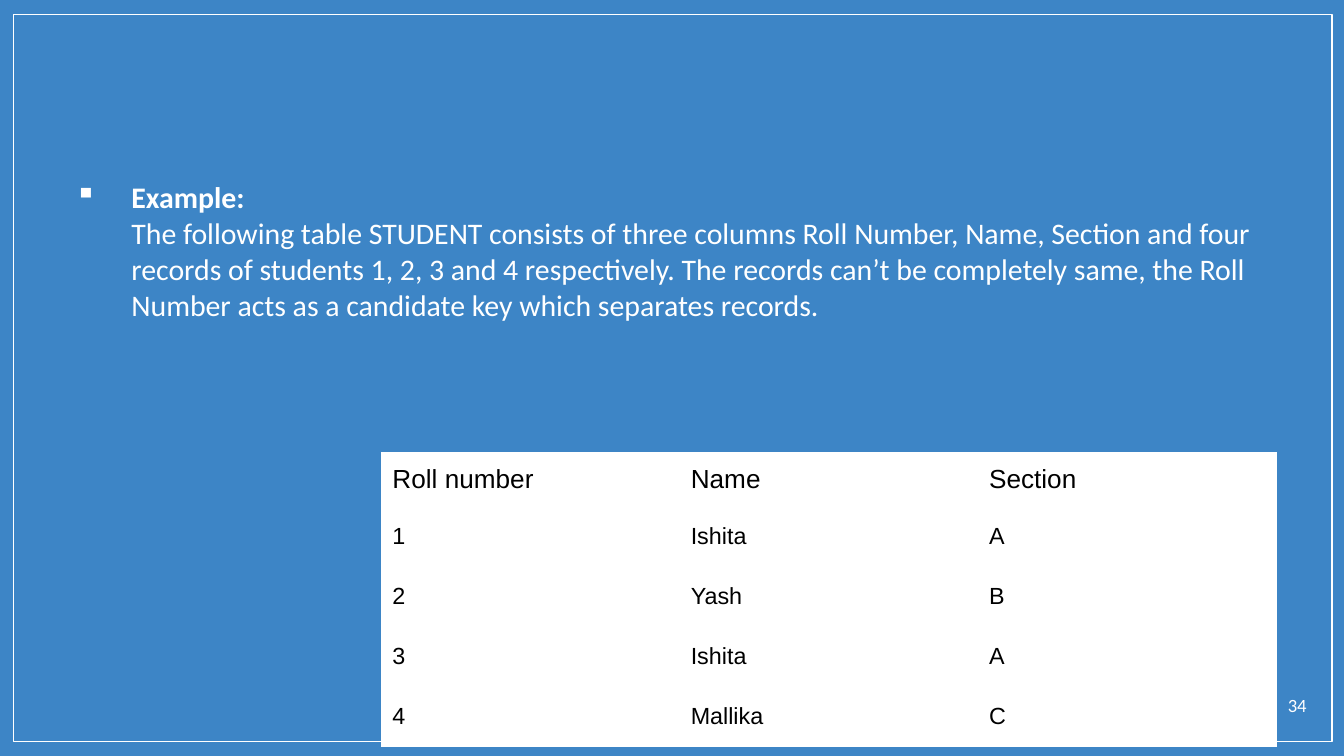
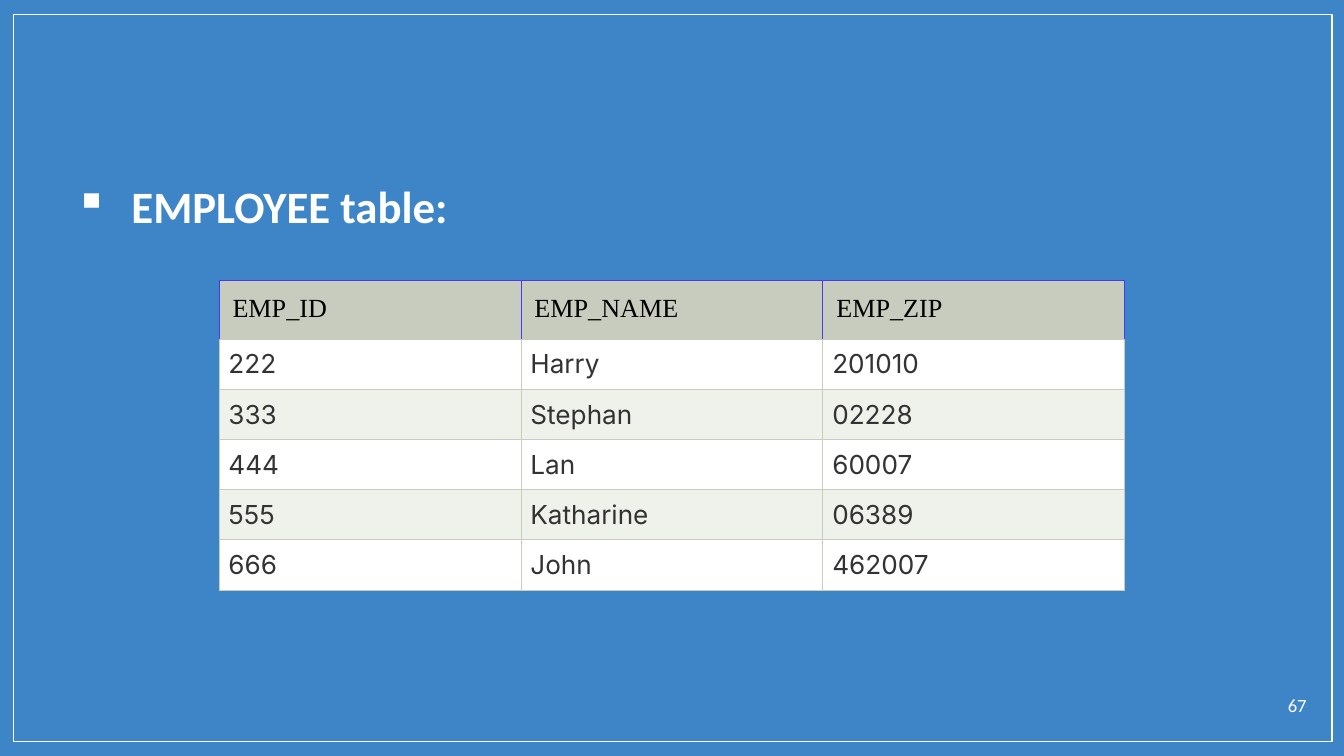
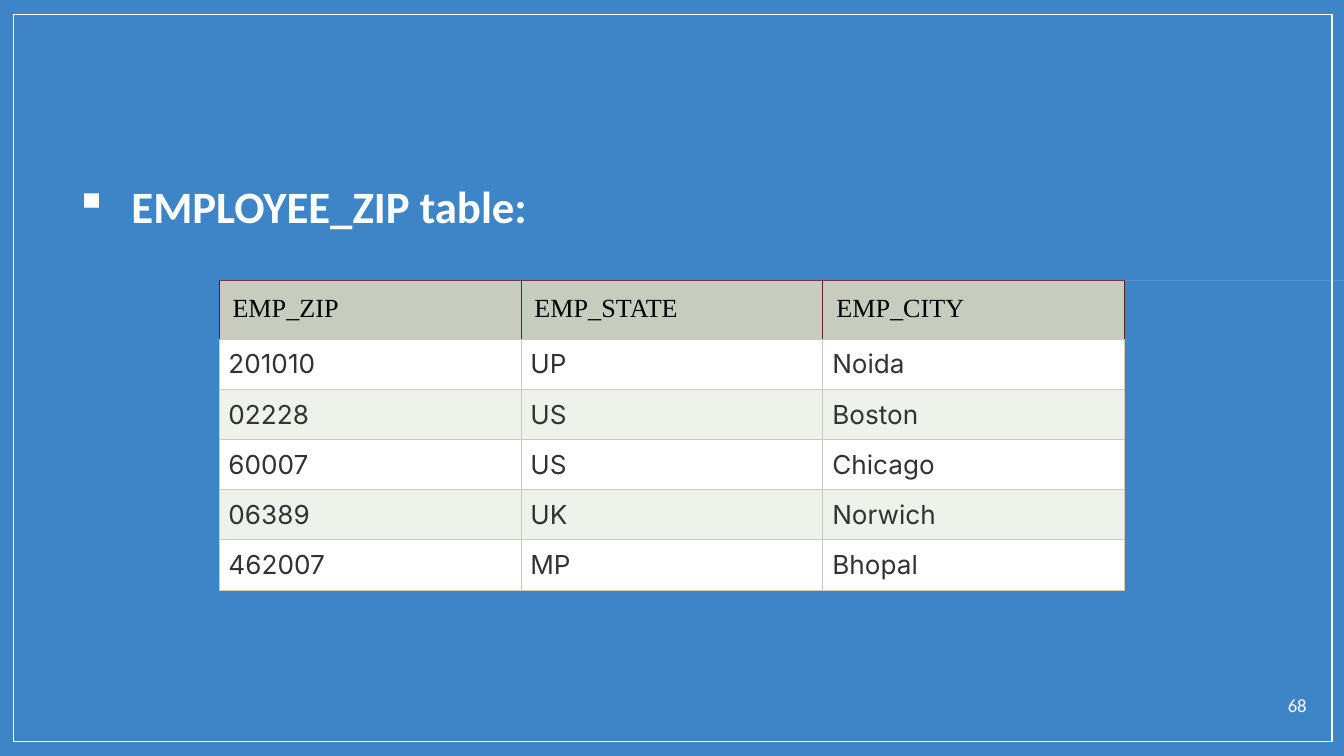
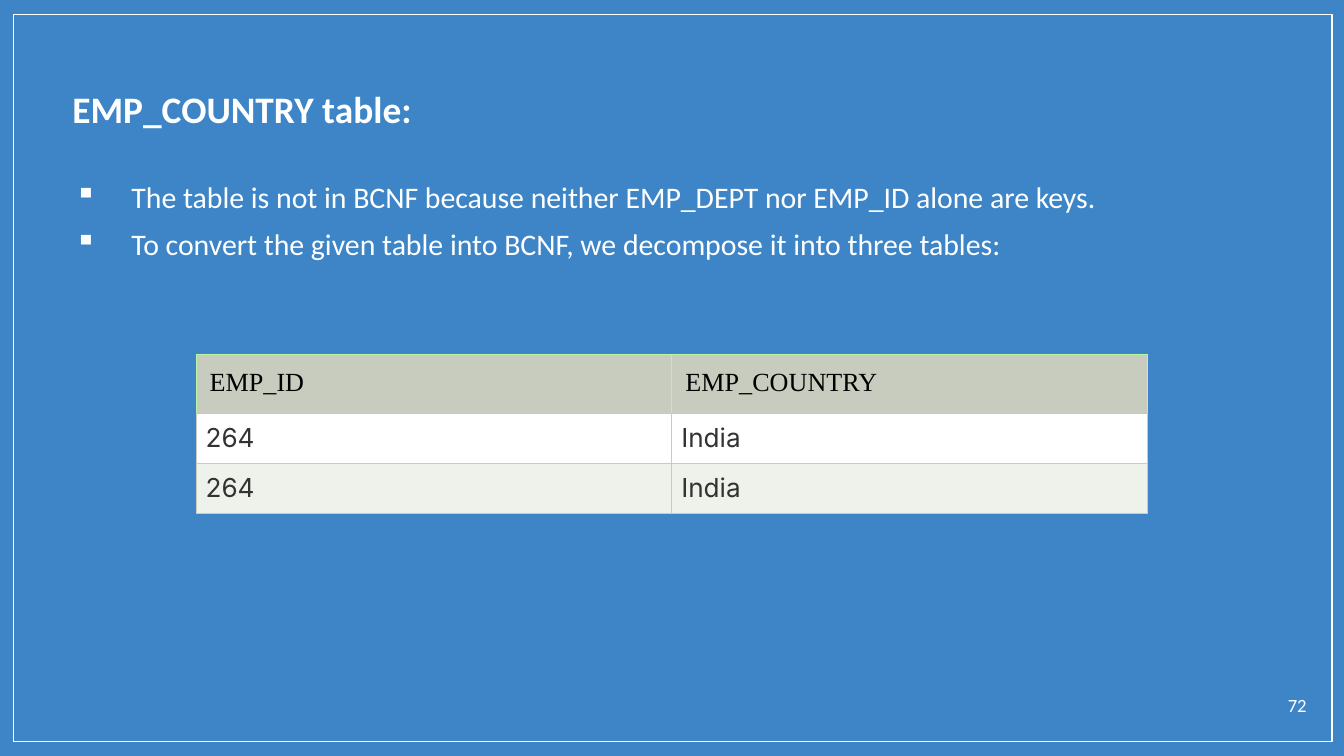
from copy import deepcopy
from dataclasses import dataclass

from lxml import etree
from pptx import Presentation
from pptx import util as u
from pptx.dml.color import RGBColor
from pptx.enum import shapes, text
from pptx.oxml import ns


@dataclass(frozen=True)
class Theme:
    # colours
    sky: str = "3D85C6"
    white: str = "FFFFFF"
    black: str = "000000"
    ink: str = "333333"
    sage: str = "C7CCBE"
    mist: str = "EFF1EB"
    # fonts
    sans: str = "Calibri"
    plain: str = "Arial"
    serif: str = "Times New Roman"
    data: str = "Inter"
    # type sizes
    page: float = 10
    cell: float = 12.5
    head: float = 14
    body: float = 16
    title: float = 20
    big: float = 24
    rule: float = 0.6


T = Theme()
WIDE, TALL = u.Inches(10), u.Inches(5.625)
COLS = 100  # square grid: 100 columns across the slide


def grid(n):
    return u.Emu(round(n * WIDE / COLS))


def spot(*box):
    return [grid(n) for n in box]


def tint(fill, hue):
    fill.solid()
    fill.fore_color.rgb = RGBColor.from_string(hue)


def child(node, tag, **attrs):
    return etree.SubElement(node, ns.qn(tag), attrs)


# --- text ---

def add_run(para, words, size, face=T.sans, hue=T.white, bold=False):
    run = para.add_run()
    run.text = words
    font = run.font
    font.size, font.name, font.bold = u.Pt(size), face, bold
    font.color.rgb = RGBColor.from_string(hue)
    return run


def inset(item, x, y):
    item.margin_left = item.margin_right = grid(x)
    item.margin_top = item.margin_bottom = grid(y)


def add_text(slide, box):
    frame = slide.shapes.add_textbox(*spot(*box)).text_frame
    frame.word_wrap = True
    inset(frame, 1, 1)
    return frame


def bullet(para):
    props = para._p.get_or_add_pPr()
    props.set("marL", str(grid(5)))
    props.set("indent", str(-grid(4.2)))
    child(child(props, "a:buClr"), "a:srgbClr", val=T.white)
    child(props, "a:buChar", char="▪")


def add_list(slide, items, size):
    """Each item is a list of lines; each line is (words, bold)."""
    frame = add_text(slide, (3.8, 12.3, 90.7, 39.8))
    for i, lines in enumerate(items):
        para = frame.add_paragraph() if i else frame.paragraphs[0]
        bullet(para)
        if i:
            para.space_before = u.Pt(6)
        for j, (words, bold) in enumerate(lines):
            if j:
                para.add_line_break()
                para._p[-1].append(deepcopy(run._r.rPr))
            run = add_run(para, words, size, bold=bold)


def add_title(slide, words):
    frame = add_text(slide, (4.4, 5.4, 90, 4.5))
    add_run(frame.paragraphs[0], words, T.title, bold=True)


# --- shapes ---

def add_rect(slide, box):
    rect = slide.shapes.add_shape(shapes.MSO_SHAPE.RECTANGLE, *spot(*box))
    rect.shadow.inherit = False
    return rect


def add_page(deck, num):
    """New slide with the white frame and its page number."""
    slide = deck.slides.add_slide(deck.slide_layouts[6])
    rim = add_rect(slide, (1, 1.1, 98.1, 54.1))
    rim.fill.background()
    tint(rim.line.fill, T.white)
    rim.line.width = u.Pt(0.75)
    para = add_text(slide, (93.2, 50.8, 5, 3.2)).paragraphs[0]
    para.alignment = text.PP_ALIGN.RIGHT
    add_run(para, str(num), T.page)
    return slide


# --- tables ---

def edge(cell, sides):
    props = cell._tc.get_or_add_tcPr()
    for i, (side, hue) in enumerate(sides.items()):
        line = etree.Element(ns.qn("a:ln" + side), w=str(u.Pt(T.rule)))
        child(child(line, "a:solidFill"), "a:srgbClr", val=hue)
        props.insert(i, line)


def add_table(slide, box, rows, top, step, style):
    """Table with a first row `top` tall and the others `step` tall."""
    tall = top + step * (len(rows) - 1)
    table = slide.shapes.add_table(
        len(rows), len(rows[0]), *spot(*box, tall)).table
    table.first_row = table.horz_banding = False
    for r, row in enumerate(rows):
        table.rows[r].height = grid(step if r else top)
        for c, words in enumerate(row):
            style(table.cell(r, c), r, words)


def plain_cell(cell, r, words):
    tint(cell.fill, T.white)
    cell.vertical_anchor = text.MSO_ANCHOR.MIDDLE
    inset(cell, 0.8, 1.2 if r else 0.8)
    size = T.cell if r else T.head
    add_run(cell.text_frame.paragraphs[0], words, size, T.plain, T.black)


def ruled(hue):
    """Cell style with sage rules, and a header outlined in hue."""
    def style(cell, r, words):
        para = cell.text_frame.paragraphs[0]
        rim = T.sage if r else hue
        if r:
            tint(cell.fill, T.white if r % 2 else T.mist)
            inset(cell, 0.7, 0.7)
            para.alignment = text.PP_ALIGN.JUSTIFY
            add_run(para, words, T.head, T.data, T.ink)
        else:
            tint(cell.fill, T.sage)
            inset(cell, 1, 1)
            add_run(para, words, T.head, T.serif, T.black)
        edge(cell, {"L": rim, "R": rim, "T": rim, "B": T.sage})
    return style


def add_ruled(slide, box, rows, hue):
    add_table(slide, box, rows, 4.2, 3.7, ruled(hue))


# --- slides ---

def student(deck):
    slide = add_page(deck, 34)
    add_list(slide, [[
        ("Example:", True),
        ("The following table STUDENT consists of three columns Roll Number, "
         "Name, Section and four records of students 1, 2, 3 and 4 "
         "respectively. The records can’t be completely same, the Roll "
         "Number acts as a candidate key which separates records.", False),
    ]], T.body)
    add_table(slide, (28.4, 33.7, 66.6), [
        ("Roll number", "Name", "Section"),
        ("1", "Ishita", "A"),
        ("2", "Yash", "B"),
        ("3", "Ishita", "A"),
        ("4", "Mallika", "C"),
    ], 3.8, 4.28, plain_cell)


def staff(deck, num, name, rows, hue):
    slide = add_page(deck, num)
    add_list(slide, [[(name, True)]], T.big)
    add_ruled(slide, (16.3, 20.9, 67.4), rows, hue)
    return slide


def country(deck):
    slide = add_page(deck, 72)
    add_title(slide, "EMP_COUNTRY table:")
    add_list(slide, [
        [("The table is not in BCNF because neither EMP_DEPT nor EMP_ID "
          "alone are keys.", False)],
        [("To convert the given table into BCNF, we decompose it into "
          "three tables:", False)],
    ], T.body)
    add_ruled(slide, (14.6, 26.4, 70.8), [
        ("EMP_ID", "EMP_COUNTRY"),
        ("264", "India"),
        ("264", "India"),
    ], "B8F4A2")


def main():
    deck = Presentation()
    deck.slide_width, deck.slide_height = WIDE, TALL
    tint(deck.slide_master.background.fill, T.sky)

    student(deck)
    staff(deck, 67, "EMPLOYEE table:", [
        ("EMP_ID", "EMP_NAME", "EMP_ZIP"),
        ("222", "Harry", "201010"),
        ("333", "Stephan", "02228"),
        ("444", "Lan", "60007"),
        ("555", "Katharine", "06389"),
        ("666", "John", "462007"),
    ], "4839F4")
    zips = staff(deck, 68, "EMPLOYEE_ZIP table:", [
        ("EMP_ZIP", "EMP_STATE", "EMP_CITY"),
        ("201010", "UP", "Noida"),
        ("02228", "US", "Boston"),
        ("60007", "US", "Chicago"),
        ("06389", "UK", "Norwich"),
        ("462007", "MP", "Bhopal"),
    ], "601B31")
    # hairline from the table's top to the slide's right edge
    hair = add_rect(zips, (16.3, 20.9, COLS - 16.3, 0))
    tint(hair.fill, T.white)
    hair.line.fill.background()
    country(deck)

    deck.save("out.pptx")


if __name__ == "__main__":
    main()
